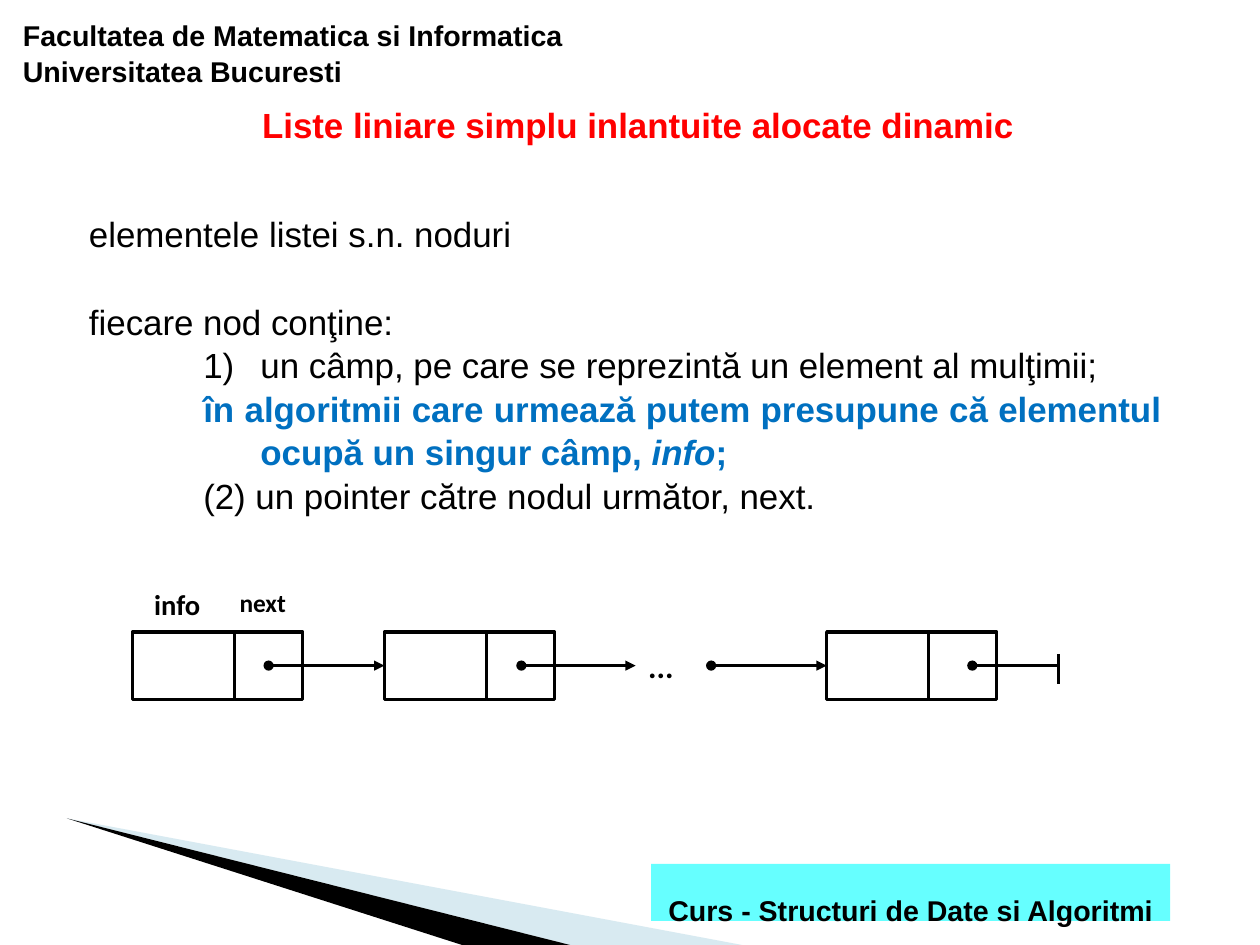
import pptx
import pptx.util
import pptx.dml.color
import pptx.enum.shapes
import pptx.enum.text
import pptx.oxml
import pptx.oxml.ns

WIDTH, HEIGHT = pptx.util.Cm(28), pptx.util.Cm(21)
BLACK, RED, BLUE, CYAN, PALE = "000000", "FF0000", "0070C0", "66FFFF", "9FCBDC"
LINE_WIDTH = 2.15
ALIGN = pptx.enum.text.PP_ALIGN
ANCHOR = pptx.enum.text.MSO_ANCHOR
RECTANGLE = pptx.enum.shapes.MSO_SHAPE.RECTANGLE

WEDGES = [
    ([(5.3, 86.6), (58.9, 100), (45.24, 100)], PALE, 40),
    ([(5.3, 86.6), (45.24, 100), (36.67, 100)], BLACK, 100),
]
TEXTS = [
    ("Facultatea de Matematica si Informatica Universitatea Bucuresti",
     (0.82, 1.05, 50, 8.83), (0.11, 0.06), "Arial", 18, BLACK, ALIGN.LEFT, ANCHOR.TOP, 1.04),
    ("Liste liniare simplu inlantuite alocate dinamic",
     (8.89, 10.64, 83.48, 4.84), (0, 0.01), "Arial", 22, RED, ALIGN.CENTER, ANCHOR.TOP, 1.04),
    ("...", (51.45, 68.56, 3.45, 3.87), (0, 0), "Calibri", 20, BLACK, ALIGN.LEFT, ANCHOR.MIDDLE, 1),
    ("info", (11.34, 61.55, 7.26, 4.72), (0.1, 0.05), "Calibri", 18, BLACK, ALIGN.LEFT, ANCHOR.TOP, 1),
    ("next", (18.12, 61.5, 7.26, 4.72), (0.1, 0.05), "Calibri", 16, BLACK, ALIGN.LEFT, ANCHOR.TOP, 1),
]
FOOTER_AREA = (51.68, 91.41, 41.2, 6.05)
FOOTER = ("Curs - Structuri de Date si Algoritmi", (0.1, 0.05), "Arial", 18, BLACK,
          ALIGN.CENTER, ANCHOR.MIDDLE, 2)
BODY_AREA = (6.17, 21.77, 86.93, 33.49)
BODY = [
    {"runs": ["elementele listei s.n. noduri"]},
    {"runs": ["fiecare nod conţine: "], "before": 27.4},
    {"runs": ["un câmp, pe care se reprezintă un element al mulţimii; "], "hang": True, "number": True},
    {"runs": ["în algoritmii care urmează putem presupune că elementul ocupă un singur câmp, ",
              "info", "; "], "hang": True, "color": BLUE, "bold": True},
    {"runs": ["(2) un pointer către nodul următor, next. "], "hang": True},
]
NODE_LEFTS = [10.53, 30.51, 65.61]
NODE_TOP, NODE_HEIGHT = 66.87, 7.13
INFO_WIDTH, NEXT_WIDTH = 8.1, 5.4
MIDDLE = NODE_TOP + NODE_HEIGHT / 2
ARROWS = [(21.32, 30.51, 1), (41.38, 50.45, None), (56.44, 65.61, 2)]
LAST_DOT, STOP, STOP_TOP, STOP_BOTTOM = 77.17, 84, 69.2, 72.4


def across(share):
    return pptx.util.Emu(round(WIDTH * share / 100))


def down(share):
    return pptx.util.Emu(round(HEIGHT * share / 100))


def place(area):
    left, top, width, height = area
    return across(left), down(top), across(width), down(height)


def color(value):
    return pptx.dml.color.RGBColor.from_string(value)


def child(parent, tag, **attributes):
    item = pptx.oxml.parse_xml(f"<a:{tag} {pptx.oxml.ns.nsdecls('a')}/>")
    for name, value in attributes.items():
        item.set(name, value)
    parent.append(item)


def paint(shape, fill=None, line=None):
    shape.shadow.inherit = False
    for target, value in ((shape.fill, fill), (shape.line.fill, line)):
        if value:
            target.solid()
            target.fore_color.rgb = color(value)
        else:
            target.background()


def add_wedge(page, points, fill, opacity):
    corners = [(across(x), down(y)) for x, y in points]
    builder = page.shapes.build_freeform(*corners[0])
    builder.add_line_segments(corners[1:], close=True)
    wedge = builder.convert_to_shape()
    paint(wedge, fill)
    if opacity < 100:
        tint = wedge._element.spPr.find(".//" + pptx.oxml.ns.qn("a:srgbClr"))
        child(tint, "alpha", val=str(opacity * 1000))


def add_cell(page, left, width):
    cell = page.shapes.add_shape(RECTANGLE, *place((left, NODE_TOP, width, NODE_HEIGHT)))
    paint(cell, line=BLACK)
    cell.line.width = pptx.util.Pt(LINE_WIDTH)
    return cell


def add_line(page, start, end, dot=False, arrow=False):
    line = page.shapes.add_connector(pptx.enum.shapes.MSO_CONNECTOR.STRAIGHT,
                                     across(start[0]), down(start[1]), across(end[0]), down(end[1]))
    line.line.color.rgb = color(BLACK)
    line.line.width = pptx.util.Pt(LINE_WIDTH)
    stroke = line._element.spPr.find(pptx.oxml.ns.qn("a:ln"))
    if dot:
        child(stroke, "headEnd", type="oval")
    if arrow:
        child(stroke, "tailEnd", type="triangle")
    child(line._element.spPr, "effectLst")
    return line


def set_frame(frame, insets, anchor):
    frame.word_wrap = True
    frame.vertical_anchor = anchor
    frame.margin_left = frame.margin_right = pptx.util.Inches(insets[0])
    frame.margin_top = frame.margin_bottom = pptx.util.Inches(insets[1])


def set_font(para, name, size, value, bold):
    para.font.name = name
    para.font.size = pptx.util.Pt(size)
    para.font.color.rgb = color(value)
    para.font.bold = bold


def write(box, words, insets, font, size, value, align, anchor, spacing):
    set_frame(box.text_frame, insets, anchor)
    para = box.text_frame.paragraphs[0]
    para.text = words
    para.alignment = align
    para.line_spacing = spacing
    set_font(para, font, size, value, True)


def add_body(page):
    frame = page.shapes.add_textbox(*place(BODY_AREA)).text_frame
    set_frame(frame, (0.1, 0.05), ANCHOR.TOP)
    for index, item in enumerate(BODY):
        para = frame.add_paragraph() if index else frame.paragraphs[0]
        para.alignment = ALIGN.JUSTIFY
        para.line_spacing = 1.04
        para.space_before = pptx.util.Pt(item.get("before", 0))
        for words in item["runs"]:
            span = para.add_run()
            span.text = words
            if words == "info":
                span.font.italic = True
        layout = para._p.get_or_add_pPr()
        if item.get("hang"):
            layout.set("marL", str(pptx.util.Inches(1.5)))
            layout.set("indent", str(pptx.util.Inches(-0.5)))
        if item.get("number"):
            child(layout, "buAutoNum", type="arabicParenR")
        set_font(para, "Arial", 22, item.get("color", BLACK), item.get("bold", False))


def add_list_diagram(page):
    nodes = []
    for left in NODE_LEFTS:
        nodes.append(add_cell(page, left, INFO_WIDTH))
        add_cell(page, left + INFO_WIDTH, NEXT_WIDTH)
    for start, end, target in ARROWS:
        arrow = add_line(page, (start, MIDDLE), (end, MIDDLE), dot=True, arrow=True)
        if target is not None:
            arrow.end_connect(nodes[target], 1)
    add_line(page, (LAST_DOT, MIDDLE), (STOP, MIDDLE), dot=True)
    add_line(page, (STOP, STOP_TOP), (STOP, STOP_BOTTOM))


def main():
    """Build the slide on singly linked lists."""
    deck = pptx.Presentation()
    deck.slide_width, deck.slide_height = WIDTH, HEIGHT
    page = deck.slides.add_slide(deck.slide_layouts[6])
    for wedge in WEDGES:
        add_wedge(page, *wedge)
    for words, area, *style in TEXTS:
        write(page.shapes.add_textbox(*place(area)), words, *style)
    add_body(page)
    add_list_diagram(page)
    footer = page.shapes.add_shape(RECTANGLE, *place(FOOTER_AREA))
    paint(footer, CYAN)
    write(footer, *FOOTER)
    deck.save("out.pptx")


if __name__ == "__main__":
    main()
